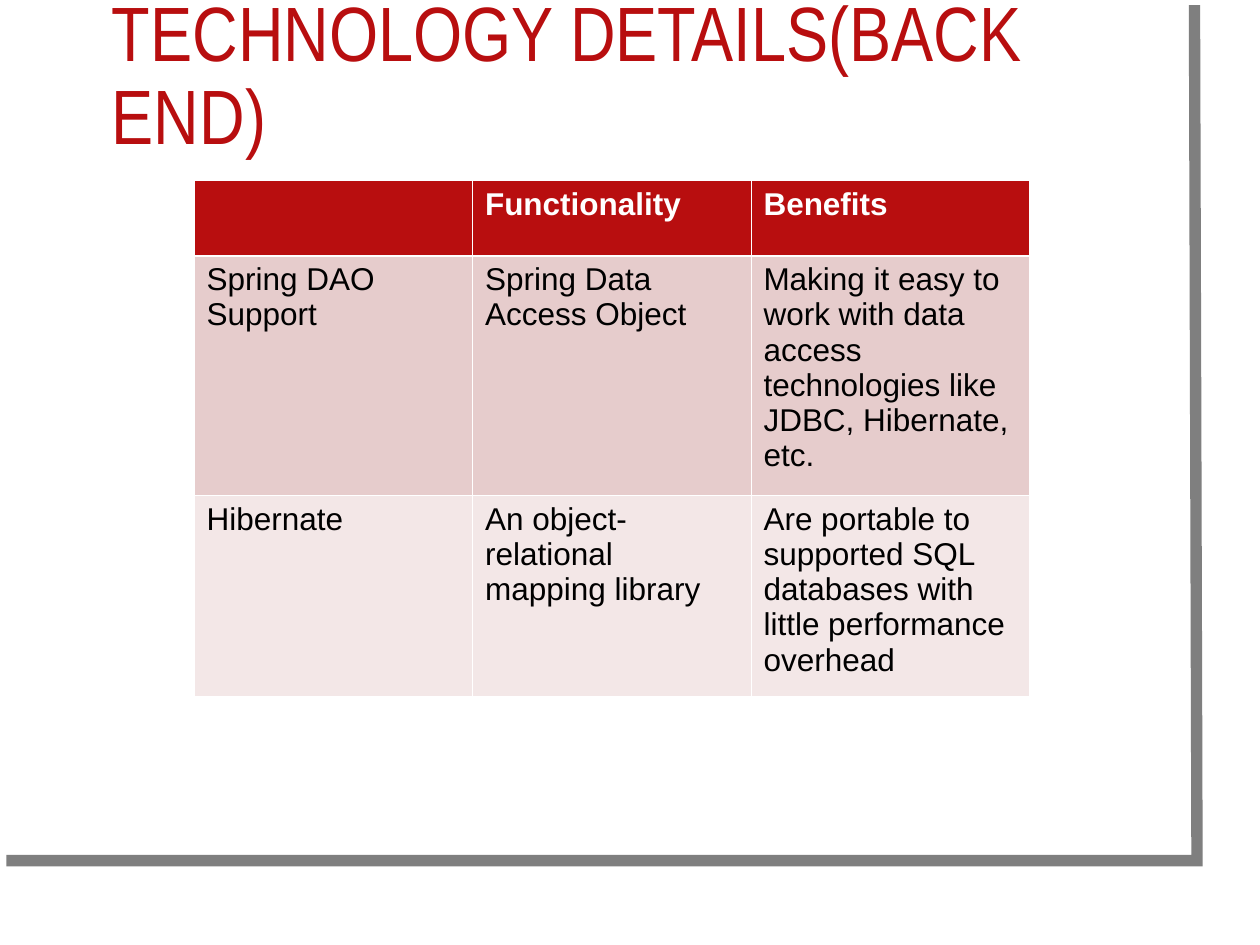
from lxml import etree
from pptx import Presentation
from pptx import util as u
from pptx.dml.color import RGBColor
from pptx.enum import text
from pptx.oxml.ns import qn

RED = RGBColor(0xB8, 0x0E, 0x0F)
ROSE = RGBColor(0xE6, 0xCC, 0xCC)
BLUSH = RGBColor(0xF3, 0xE7, 0xE7)
GREY = RGBColor(0x7F, 0x7F, 0x7F)
WHITE = RGBColor(0xFF, 0xFF, 0xFF)
BLACK = RGBColor(0, 0, 0)

THIN, THICK = 0.45, 1.47
GRID_COLUMNS, GRID_ROWS = 100, 75

TITLE = "TECHNOLOGY DETAILS(BACK END)"
TECHNOLOGIES = [
    ["", "Functionality", "Benefits"],
    ["Spring DAO Support", "Spring Data Access Object",
     "Making it easy to work with data access technologies like JDBC, Hibernate, etc."],
    ["Hibernate", "An object-relational mapping library",
     "Are portable to supported SQL databases with little performance overhead"],
]


class Deck:
    def __init__(self):
        self.deck = Presentation()
        self.deck.slide_width = u.Inches(10)
        self.deck.slide_height = u.Inches(7.5)
        self.slide = self.deck.slides.add_slide(self.deck.slide_layouts[6])

    def x(self, columns):
        return round(self.deck.slide_width * columns / GRID_COLUMNS)

    def y(self, rows):
        return round(self.deck.slide_height * rows / GRID_ROWS)

    def style(self, paragraph, face, size, color, bold=False):
        font = paragraph.font
        font.name, font.size, font.bold = face, u.Pt(size), bold
        font.color.rgb = color

    def corner_rule(self, points, color, width):
        start, *rest = [(self.x(column), self.y(row)) for column, row in points]
        builder = self.slide.shapes.build_freeform(*start)
        builder.add_line_segments(rest, close=False)
        rule = builder.convert_to_shape()
        rule.shadow.inherit = False
        rule.fill.background()
        rule.line.color.rgb = color
        rule.line.width = u.Pt(width)
        outline = rule._element.spPr.find(qn("a:ln"))
        etree.SubElement(outline, qn("a:miter"), lim="800000")

    def title(self, wording, left, top, width, height):
        box = self.slide.shapes.add_textbox(
            self.x(left), self.y(top), self.x(width), self.y(height))
        frame = box.text_frame
        frame.word_wrap = True
        frame.vertical_anchor = text.MSO_ANCHOR.MIDDLE
        frame.text = wording
        heading = frame.paragraphs[0]
        heading.line_spacing = 0.9
        self.style(heading, "Arial Narrow", 44, RED)

    def border(self, cell, top, bottom):
        properties = cell._tc.get_or_add_tcPr()
        sides = {"a:lnL": THIN, "a:lnR": THIN, "a:lnT": top, "a:lnB": bottom}
        for place, (side, width) in enumerate(sides.items()):
            edge = etree.Element(qn(side), w=str(u.Pt(width)))
            fill = etree.SubElement(edge, qn("a:solidFill"))
            etree.SubElement(fill, qn("a:srgbClr"), val=str(WHITE))
            properties.insert(place, edge)

    def table(self, rows, left, top, column_width, heights, fills):
        columns = len(rows[0])
        table = self.slide.shapes.add_table(
            len(rows), columns, self.x(left), self.y(top),
            self.x(column_width * columns), self.y(sum(heights))).table
        table.horz_banding = False
        for column in table.columns:
            column.width = self.x(column_width)
        for index, wordings in enumerate(rows):
            table.rows[index].height = self.y(heights[index])
            header = index == 0
            for cell, wording in zip(table.rows[index].cells, wordings):
                cell.text = wording
                cell.fill.solid()
                cell.fill.fore_color.rgb = fills[index]
                self.style(cell.text_frame.paragraphs[0], "Arial", 18,
                           WHITE if header else BLACK, header)
                self.border(cell, THICK if index == 1 else THIN,
                            THICK if header else THIN)


def main():
    page = Deck()
    page.corner_rule([(94.8, 0.4), (95, 68.3), (0.5, 68.3)], GREY, 6.5)
    page.table(TECHNOLOGIES, 15.4, 14.3, 22.1, [6, 19, 16], [RED, ROSE, BLUSH])
    page.title(TITLE, 7.9, 3.2, 85.3, 6)
    page.deck.save("out.pptx")


if __name__ == "__main__":
    main()
